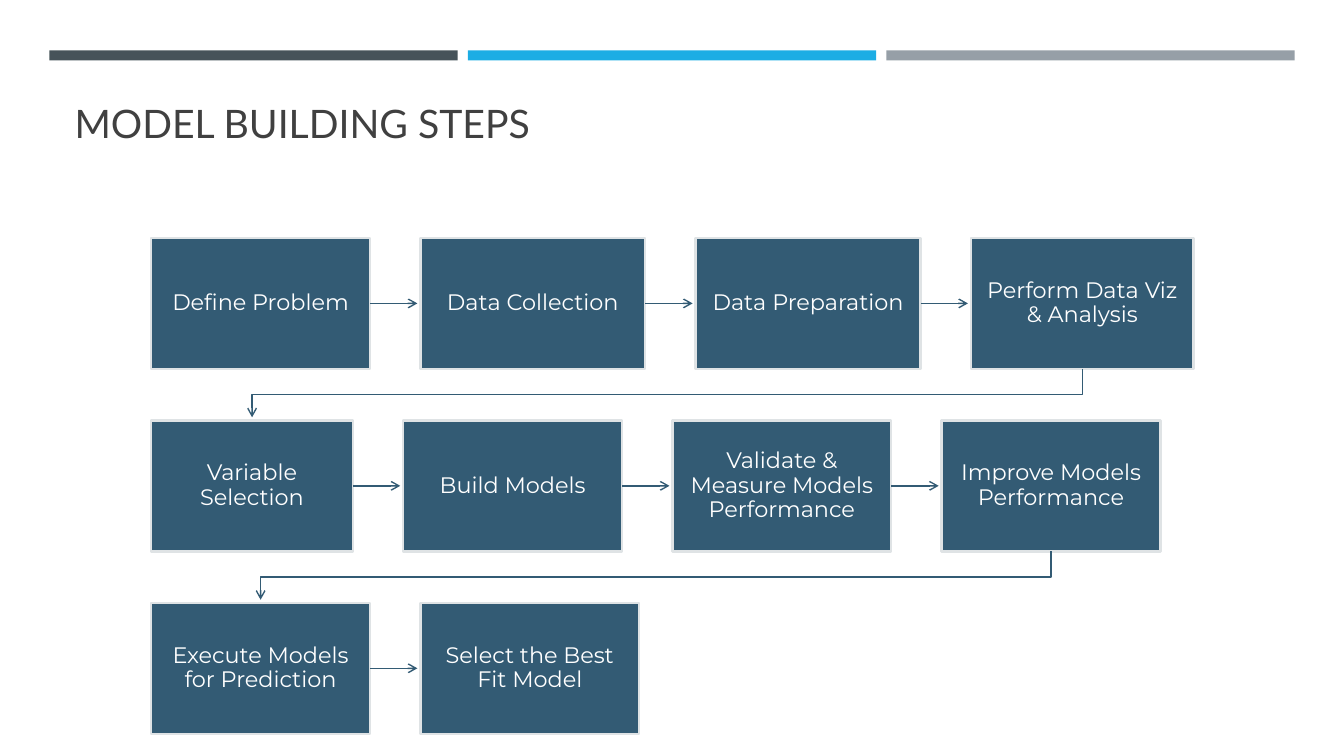
from lxml import etree
from pptx import Presentation
from pptx.dml.color import RGBColor
from pptx.enum.shapes import MSO_CONNECTOR, MSO_SHAPE
from pptx.enum.text import MSO_ANCHOR, MSO_AUTO_SIZE, PP_ALIGN
from pptx.oxml.ns import qn
from pptx.util import Inches, Pt

RECTANGLE = MSO_SHAPE.RECTANGLE
STRAIGHT = MSO_CONNECTOR.STRAIGHT
MIDDLE, BOTTOM = MSO_ANCHOR.MIDDLE, MSO_ANCHOR.BOTTOM
LEFT, CENTER = PP_ALIGN.LEFT, PP_ALIGN.CENTER
NO_AUTOFIT = MSO_AUTO_SIZE.NONE

COLORS = {
    "slate": "465359", "sky": "1CADE4", "gray": "969FA7",
    "title": "404040", "step": "335B74", "border": "DFE3E5", "white": "FFFFFF",
}

# Step grid, in inches: each row holds (label, box width)
ROWS = [
    [("Define Problem", 2.17), ("Data Collection", 2.23),
     ("Data Preparation", 2.23), ("Perform Data Viz & Analysis", 2.21)],
    [("Variable Selection", 2.0), ("Build Models", 2.17),
     ("Validate & Measure Models Performance", 2.17),
     ("Improve Models Performance", 2.17)],
    [("Execute Models for Prediction", 2.17), ("Select the Best Fit Model", 2.17)],
]
GRID_LEFT, GRID_TOP = Inches(1.5), Inches(2.36)
STEP_HEIGHT, GAP = Inches(1.3), Inches(0.51)
COLUMN_GAP = Inches(0.5)
ARROW_CLEARANCE = Inches(0.03)


def add_text(frame, text, font, size, color, align):
    paragraph = frame.paragraphs[0]
    paragraph.alignment = align
    paragraph.line_spacing = 0.9
    run = paragraph.add_run()
    run.text = text
    run.font.name = font
    run.font.size = Pt(size)
    run.font.color.rgb = RGBColor.from_string(COLORS[color])


def style_arrow(arrow):
    arrow.line.color.rgb = RGBColor.from_string(COLORS["step"])
    arrow.line.width = Pt(1)
    etree.SubElement(arrow.line._get_or_add_ln(), qn("a:tailEnd"), type="arrow")
    properties = arrow._element.spPr
    if properties.find(qn("a:effectLst")) is None:
        etree.SubElement(properties, qn("a:effectLst"))


prs = Presentation()
prs.slide_width, prs.slide_height = Inches(13.33), Inches(7.5)
slide = prs.slides.add_slide(prs.slide_layouts[5])
shapes = slide.shapes

# Three bars across the top
for column, bar_color in enumerate(["slate", "sky", "gray"]):
    bar = shapes.add_shape(RECTANGLE, Inches(0.49 + 4.15 * column), Inches(0.5),
                           Inches(4.05), Inches(0.1))
    bar.shadow.inherit = False
    bar.fill.solid()
    bar.fill.fore_color.rgb = RGBColor.from_string(COLORS[bar_color])
    bar.line.fill.background()

# Title
title = shapes.title
title.left, title.top = Inches(0.64), Inches(0.77)
title.width, title.height = Inches(12.06), Inches(0.74)
title.text_frame.auto_size = NO_AUTOFIT
title.text_frame.vertical_anchor = BOTTOM
add_text(title.text_frame, "MODEL BUILDING STEPS", "Lato", 28, "title", LEFT)

# Step boxes, row by row
step_rows = []
for row, steps in enumerate(ROWS):
    left = GRID_LEFT
    top = GRID_TOP + row * (STEP_HEIGHT + GAP)
    boxes = []
    for label, width in steps:
        box = shapes.add_shape(RECTANGLE, left, top, Inches(width), STEP_HEIGHT)
        box.shadow.inherit = False
        box.fill.solid()
        box.fill.fore_color.rgb = RGBColor.from_string(COLORS["step"])
        box.line.color.rgb = RGBColor.from_string(COLORS["border"])
        box.line.width = Pt(1.75)
        frame = box.text_frame
        frame.word_wrap = True
        frame.vertical_anchor = MIDDLE
        frame.margin_left = frame.margin_right = Inches(0.12)
        frame.margin_top = frame.margin_bottom = Inches(0.12)
        add_text(frame, label, "Montserrat", 16, "white", CENTER)
        boxes.append(box)
        left += box.width + COLUMN_GAP
    step_rows.append(boxes)

# Arrows between neighbours in a row
for boxes in step_rows:
    for step, following in zip(boxes, boxes[1:]):
        middle = step.top + step.height // 2
        arrow = shapes.add_connector(STRAIGHT, step.left + step.width, middle,
                                     following.left - ARROW_CLEARANCE, middle)
        arrow.begin_connect(step, 3)
        style_arrow(arrow)

# Bent arrows from the end of a row to the start of the next
for boxes, next_boxes in zip(step_rows, step_rows[1:]):
    last, first = boxes[-1], next_boxes[0]
    start_x = last.left + last.width // 2
    end_x = first.left + first.width // 2
    start_y = last.top + last.height
    turn_y = start_y + GAP // 2
    builder = shapes.build_freeform(start_x, start_y)
    builder.add_line_segments(
        [(start_x, turn_y), (end_x, turn_y), (end_x, first.top - ARROW_CLEARANCE)],
        close=False)
    bend = builder.convert_to_shape()
    bend.fill.background()
    style_arrow(bend)

prs.save("out.pptx")
